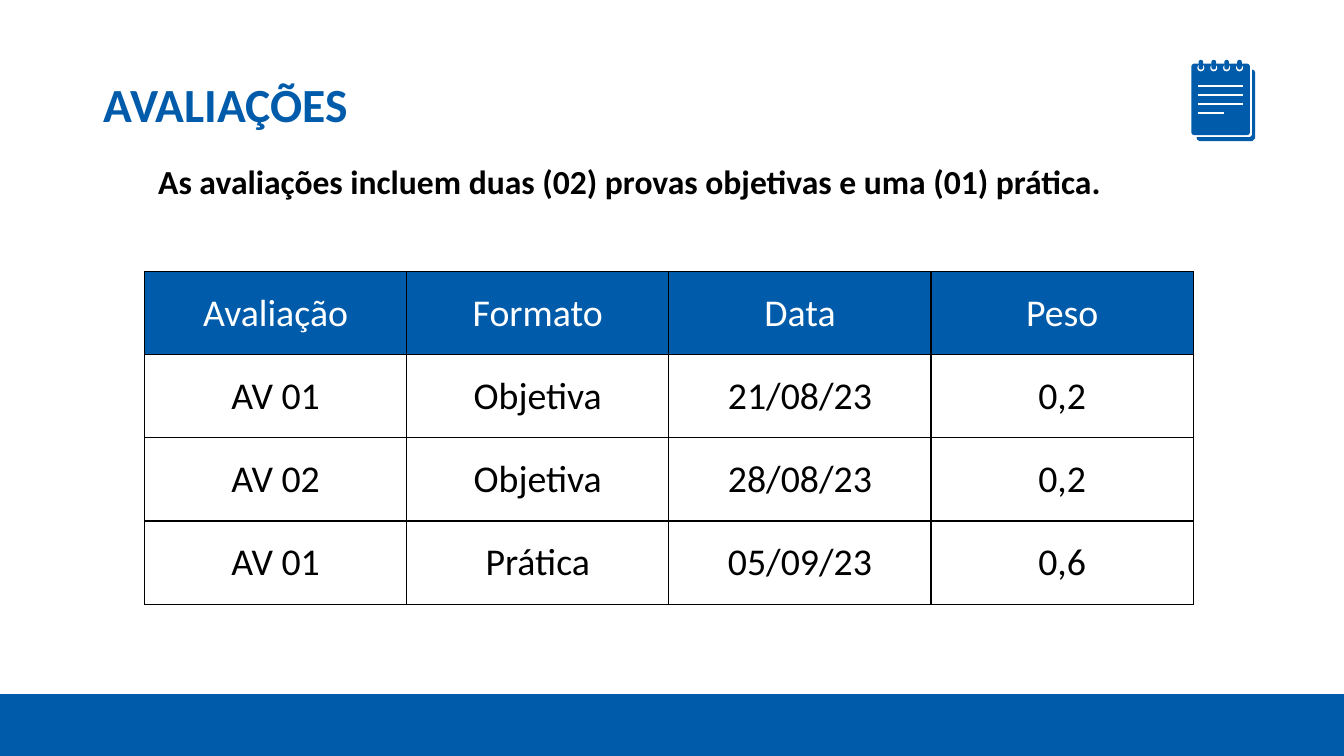
from lxml.etree import SubElement as Sub
from pptx import Presentation
from pptx.dml.color import RGBColor as RGB
from pptx.enum.shapes import MSO_CONNECTOR as LINK, MSO_SHAPE as SHAPE
from pptx.enum.text import MSO_ANCHOR as ANCHOR, MSO_AUTO_SIZE as FIT, PP_ALIGN as ALIGN
from pptx.oxml.ns import qn
from pptx.util import Pt

BLUE, WHITE, BLACK = "005CAA", "FFFFFF", "000000"


def paint(shape, color, edge=None):
    """Fill a shape with a hex colour, and outline it only if edge is given."""
    shape.shadow.inherit = False
    shape.fill.solid()
    shape.fill.fore_color.rgb = RGB.from_string(color)
    if edge:
        shape.line.color.rgb = RGB.from_string(color)
        shape.line.width = Pt(edge)
    else:
        shape.line.fill.background()


def write(para, text, size, color, bold=False):
    """Add one run of Calibri text to a paragraph."""
    run = para.add_run()
    run.text = text
    run.font.name = "Calibri"
    run.font.size = Pt(size)
    run.font.bold = bold
    run.font.color.rgb = RGB.from_string(color)


prs = Presentation()
prs.slide_width, prs.slide_height = Pt(960), Pt(540)
slide = prs.slides.add_slide(prs.slide_layouts[1])
shapes = slide.shapes

# Footer bar
bar = shapes.add_shape(SHAPE.RECTANGLE, 0, Pt(496), Pt(960), Pt(44))
paint(bar, BLUE, 1)

# Title and lead sentence
title, lead = shapes.title, slide.placeholders[1]
for holder, left, top, high in ((title, 67, 49.7, 48.2), (lead, 105.8, 108, 65.5)):
    holder.left, holder.top = Pt(left), Pt(top)
    holder.width, holder.height = Pt(712), Pt(high)
    frame = holder.text_frame
    frame.word_wrap = True
    frame.auto_size = FIT.NONE
    frame.vertical_anchor = ANCHOR.TOP
    frame.paragraphs[0].alignment = ALIGN.LEFT
write(title.text_frame.paragraphs[0], "AVALIAÇÕES", 34, BLUE, True)

lead.text_frame.margin_top = lead.text_frame.margin_bottom = Pt(7.2)
para = lead.text_frame.paragraphs[0]
para.space_before = Pt(6)
props = para._p.get_or_add_pPr()
props.set("marL", "0")
props.set("indent", "0")
Sub(props, qn("a:buNone"))
write(para, "As avaliações incluem duas (02) provas objetivas e uma (01) prática.",
      24, BLACK, True)

# Table of exams
rows = (
    ("Avaliação", "Formato", "Data", "Peso"),
    ("AV 01", "Objetiva", "21/08/23", "0,2"),
    ("AV 02", "Objetiva", "28/08/23", "0,2"),
    ("AV 01", "Prática", "05/09/23", "0,6"),
)
table = shapes.add_table(4, 4, Pt(103.2), Pt(194), Pt(749.2), Pt(237.6)).table
table.horz_banding = False
for col in table.columns:
    col.width = Pt(187.3)
for r, row in enumerate(rows):
    table.rows[r].height = Pt(59.4)
    back, ink = (BLUE, WHITE) if r == 0 else (WHITE, BLACK)
    for c, text in enumerate(row):
        cell = table.cell(r, c)
        cell.vertical_anchor = ANCHOR.MIDDLE
        cell.margin_left = cell.margin_right = Pt(8)
        cell.margin_top = cell.margin_bottom = Pt(4)
        for side in ("lnL", "lnR", "lnT", "lnB"):
            edge = Sub(cell._tc.get_or_add_tcPr(), qn("a:" + side), w=str(Pt(1)))
            Sub(Sub(edge, qn("a:solidFill")), qn("a:srgbClr"), val=BLACK)
        cell.fill.solid()
        cell.fill.fore_color.rgb = RGB.from_string(back)
        para = cell.text_frame.paragraphs[0]
        para.alignment = ALIGN.CENTER
        write(para, text, 27, ink)

# Notepad icon: back sheet, page, rings, ruled lines
icon = shapes.add_group_shape().shapes
pen = icon.build_freeform(Pt(894.3), Pt(49.7))
pen.add_line_segments([(Pt(x), Pt(y)) for x, y in (
    (894.3, 96.5), (892.8, 98), (854.7, 98), (855, 99.6), (856.8, 100.8),
    (894.5, 100.8), (896.5, 98.8), (896.5, 51.7), (895.8, 50.2))])
paint(pen.convert_to_shape(), BLUE)

page = icon.add_shape(SHAPE.ROUNDED_RECTANGLE, Pt(851), Pt(45.4), Pt(41.8), Pt(51.1))
page.adjustments[0] = 0.05
paint(page, BLUE)

for i in range(4):
    mid = 857.8 + 9.2 * i
    hole = icon.add_shape(SHAPE.OVAL, Pt(mid - 2.5), Pt(46), Pt(5), Pt(5))
    paint(hole, WHITE)
    ring = icon.add_shape(SHAPE.ROUNDED_RECTANGLE, Pt(mid - 1.65), Pt(42.7), Pt(3.3), Pt(7))
    ring.adjustments[0] = 0.5
    paint(ring, BLUE)

for i, end in enumerate((887.8, 887.8, 887.8, 874.1)):
    y = Pt(61.3 + 6.5 * i)
    rule = icon.add_connector(LINK.STRAIGHT, Pt(855.6), y, Pt(end), y)
    rule.line.color.rgb = RGB.from_string(WHITE)
    rule.line.width = Pt(1.4)
    Sub(rule._element.spPr, qn("a:effectLst"))

prs.save("out.pptx")
